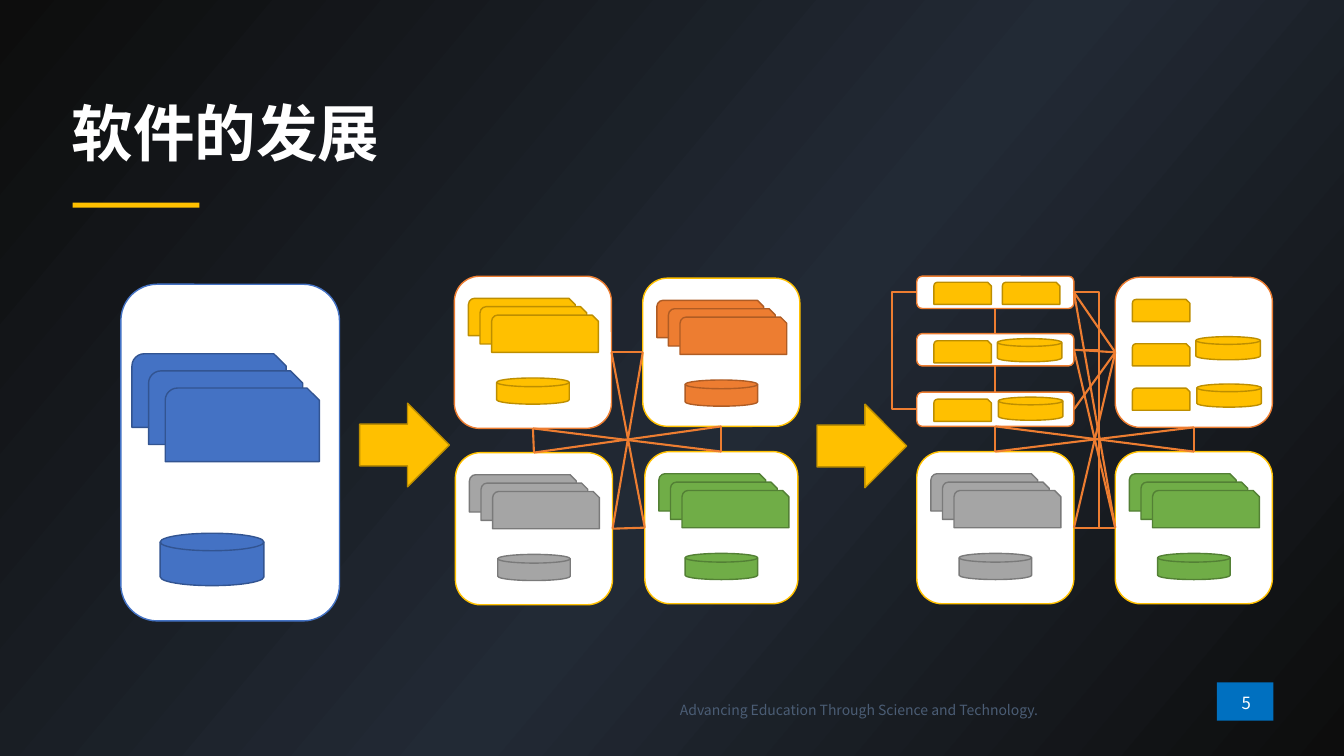
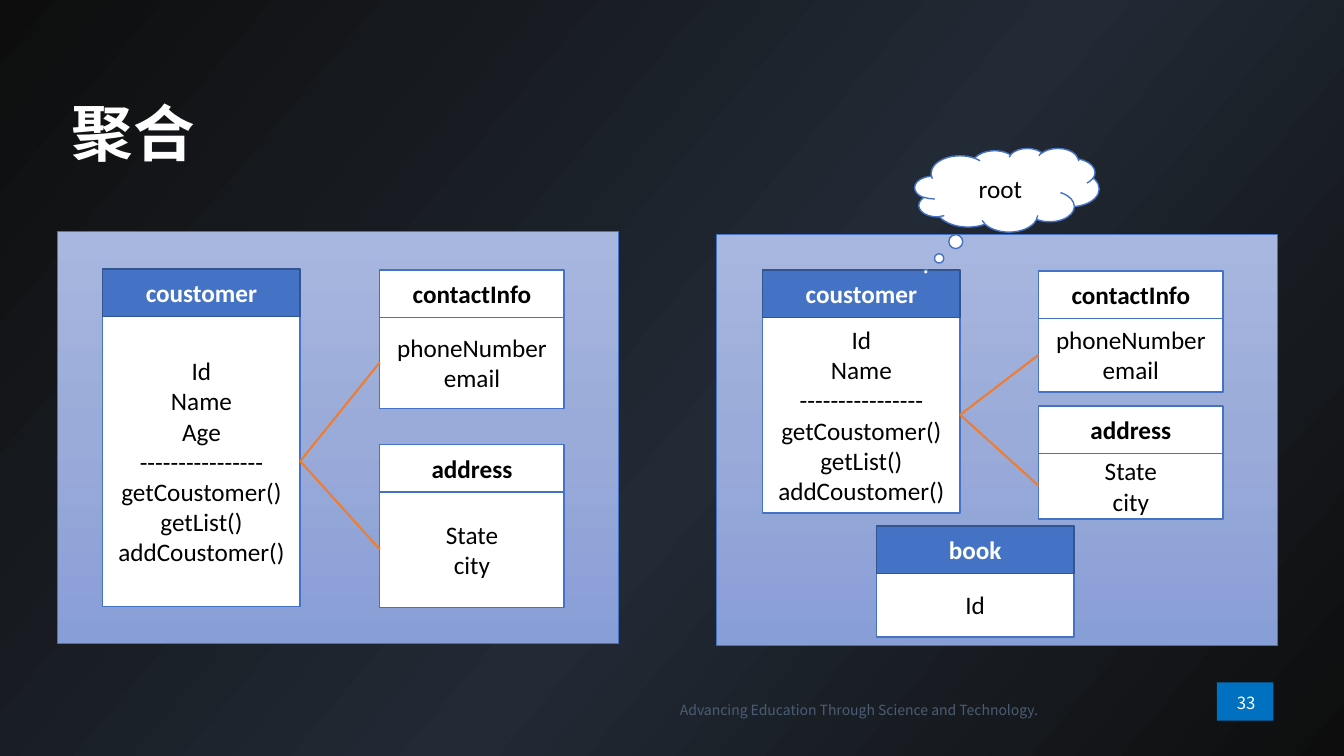
from copy import deepcopy

from lxml.etree import SubElement
from pptx import Presentation
from pptx.dml.color import RGBColor
from pptx.enum.shapes import MSO_CONNECTOR, MSO_SHAPE
from pptx.enum.text import MSO_ANCHOR, PP_ALIGN
from pptx.oxml.ns import qn
from pptx.util import Inches, Pt

C = {
    "white": "FFFFFF", "black": "000000", "badge": "0070C0", "footer": "4B5D75",
    "blue": "4472C4", "blue_edge": "325491", "gold": "FFC000", "gold_edge": "BD8E00",
    "orange": "ED7D31", "orange_edge": "AF5C24", "gray": "A5A5A5", "gray_edge": "7A7A7A",
    "green": "70AD47", "green_edge": "538035",
    "night": "0D0D0D", "slate": "222A35",
    "haze": "A8B7DF", "haze_mid": "9AABD9", "haze_deep": "889ED7",
}
NIGHT = [(0, "night"), (0.55, "slate"), (1, "night")]
HAZE = [(0, "haze"), (0.5, "haze_mid"), (1, "haze_deep")]
CJK, LATIN = "Noto Sans CJK SC", "Calibri"
FOOTER = "Advancing Education Through Science and Technology."
TOP, LEFT, BOTTOM, RIGHT = range(4)

# Services: name -> (box, border, colour)
MONOLITH = (1.2, 2.82, 2.17, 3.34)
SERVICES = {
    "tl": ((4.51, 2.74, 1.56, 1.51), "orange", "gold"),
    "tr": ((6.38, 2.76, 1.56, 1.47), "gold", "orange"),
    "bl": ((4.52, 4.49, 1.56, 1.51), "gold", "gray"),
    "br": ((6.4, 4.48, 1.52, 1.51), "gold", "green"),
}
MICRO_SERVICES = {
    "bl": ((9.1, 4.48, 1.56, 1.51), "gold", "gray"),
    "br": ((11.07, 4.48, 1.56, 1.51), "gold", "green"),
}
# Panels of small parts: name -> (box, parts at offsets)
MICRO_PANELS = {
    "s1": ((9.1, 2.74, 1.56, 0.32), [("card", 0.17, 0.06), ("card", 0.85, 0.06)]),
    "s2": ((9.1, 3.31, 1.56, 0.32), [("card", 0.17, 0.07), ("disk", 0.8, 0.05)]),
    "tl": ((9.1, 3.89, 1.56, 0.34), [("card", 0.17, 0.07), ("disk", 0.81, 0.05)]),
    "tr": ((11.07, 2.75, 1.56, 1.49),
           [("card", 0.17, 0.22), ("card", 0.17, 0.66), ("card", 0.17, 1.1),
            ("disk", 0.8, 0.59), ("disk", 0.81, 1.06)]),
}
PARTS = {"card": (MSO_SHAPE.SNIP_ROUND_RECTANGLE, 0.57, 0.22),
         "disk": (MSO_SHAPE.FLOWCHART_MAGNETIC_DISK, 0.64, 0.23)}
ARROWS = [(3.57, 4, 0.89, 0.83), (8.11, 4.01, 0.89, 0.83)]

MESH = [
    ("tl", RIGHT, "tr", LEFT), ("tr", LEFT, "bl", RIGHT), ("bl", RIGHT, "br", LEFT),
    ("tl", BOTTOM, "bl", TOP), ("tl", BOTTOM, "br", TOP),
    ("tr", BOTTOM, "bl", TOP), ("tr", BOTTOM, "br", TOP),
]
SERVICE_LINKS = MESH + [("tl", RIGHT, "br", LEFT)]
MICRO_LINKS = MESH + [
    ("s1", RIGHT, "tr", LEFT), ("s2", RIGHT, "tr", LEFT),
    ("s1", RIGHT, "br", LEFT), ("s2", RIGHT, "br", LEFT),
    ("s1", BOTTOM, "s2", TOP), ("s2", BOTTOM, "tl", TOP),
]
MICRO_ELBOWS = [("s1", "tl", LEFT), ("s1", "bl", RIGHT), ("s2", "bl", RIGHT)]

# Aggregates: frame and class boxes (name, left, top, width, body height, lines)
RULE = "-" * 16
METHODS = [RULE, "getCoustomer()", "getList()", "addCoustomer()"]
CONTACT, ADDRESS = ["phoneNumber", "email"], ["State", "city"]
AGGREGATES = [
    ((0.57, 2.3, 5.57, 4.08), [
        ("coustomer", 1.02, 2.67, 1.96, 2.89, ["Id", "Name", "Age"] + METHODS),
        ("contactInfo", 3.77, 2.68, 1.83, 0.91, CONTACT),
        ("address", 3.77, 4.41, 1.83, 1.16, ADDRESS),
    ]),
    ((7.11, 2.32, 5.57, 4.08), [
        ("coustomer", 7.57, 2.68, 1.96, 1.95, ["Id", "Name"] + METHODS),
        ("contactInfo", 10.31, 2.69, 1.83, 0.74, CONTACT),
        ("address", 10.31, 4.03, 1.83, 0.66, ADDRESS),
        ("book", 8.7, 5.22, 1.96, 0.64, ["Id"]),
    ]),
]
ROOTS = {"coustomer", "book"}
HEADER_H, HEADER_STEP = 0.47, 0.46


def rgb(name):
    return RGBColor.from_string(C[name])


def gradient(fill, stops, angle):
    """Three-stop linear gradient; the angle runs clockwise."""
    fill.gradient()
    gs_lst = fill.gradient_stops._gsLst
    gs_lst.append(deepcopy(gs_lst[0]))
    for stop, (position, color) in zip(fill.gradient_stops, stops):
        stop.position = position
        stop.color.rgb = rgb(color)
    fill.gradient_angle = 360 - angle


def write(sp, lines, size, color, font=LATIN, bold=False, align=PP_ALIGN.CENTER):
    tf = sp.text_frame
    tf.word_wrap = True
    tf.text = "\n".join(lines)
    for p in tf.paragraphs:
        p.alignment = align
        p.font.size, p.font.bold, p.font.name = Pt(size), bold, font
        p.font.color.rgb = rgb(color)
        SubElement(p.font._rPr, qn("a:ea"), typeface=font)
    return tf


def draw(slide, preset, box, fill, line=None, width=1):
    sp = slide.shapes.add_shape(preset, *map(Inches, box))
    sp.shadow.inherit = False
    if isinstance(fill, list):
        gradient(sp.fill, fill, 90)
    else:
        sp.fill.solid()
        sp.fill.fore_color.rgb = rgb(fill)
    if line:
        sp.line.color.rgb = rgb(line)
        sp.line.width = Pt(width)
    else:
        sp.line.fill.background()
    return sp


def text_box(slide, box, text, size, color, align=PP_ALIGN.CENTER):
    sp = slide.shapes.add_textbox(*map(Inches, box))
    write(sp, [text], size, color, CJK, align=align)
    return sp


def style_line(cn):
    cn.line.color.rgb = rgb("orange")
    cn.line.width = Pt(1.5)
    SubElement(cn._element.spPr, qn("a:effectLst"))


def link(slide, a, a_site, b, b_site):
    cn = slide.shapes.add_connector(MSO_CONNECTOR.STRAIGHT, 0, 0, 0, 0)
    cn.begin_connect(a, a_site)
    cn.end_connect(b, b_site)
    style_line(cn)


def elbow(slide, a, b, side):
    """Bracket 0.25 inch out from the same side of two shapes."""
    x = a.left + (a.width if side == RIGHT else 0)
    end = x + Inches(0.01 if side == RIGHT else -0.01)
    cn = slide.shapes.add_connector(MSO_CONNECTOR.ELBOW, x, a.top + a.height // 2,
                                    end, b.top + b.height // 2)
    av_lst = cn._element.spPr.find(qn("a:prstGeom")).get_or_add_avLst()
    SubElement(av_lst, qn("a:gd"), name="adj1", fmla="val 2500000")
    style_line(cn)


def set_up_layout(prs):
    gradient(prs.slide_master.background.fill, NIGHT, 40)
    layout = prs.slide_layouts[5]
    for ph in list(layout.placeholders):
        if ph.placeholder_format.idx:
            ph._element.getparent().remove(ph._element)
    title = layout.placeholders[0]
    title.left, title.top, title.width, title.height = map(Inches, (0.61, 0.92, 11.97, 0.86))
    return layout


def add_shared_parts(slide):
    """Put the number badge and the footer on the slide's layout."""
    badge = draw(slide, MSO_SHAPE.RECTANGLE, (12.08, 6.77, 0.56, 0.38), "badge")
    footer = text_box(slide, (4.61, 6.91, 5.79, 0.27), FOOTER, 10, "footer", PP_ALIGN.RIGHT)
    for sp in (badge, footer):
        slide.slide_layout.shapes._spTree.append(sp._element)


def add_slide(prs, layout, title, number):
    slide = prs.slides.add_slide(layout)
    tf = write(slide.shapes.title, [title], 44, "white", CJK, True, PP_ALIGN.LEFT)
    tf.vertical_anchor = MSO_ANCHOR.MIDDLE
    tf.paragraphs[0].line_spacing = 0.9
    sp = text_box(slide, (12.06, 6.76, 0.62, 0.43), str(number), 12, "white")
    sp.text_frame.vertical_anchor = MSO_ANCHOR.MIDDLE
    return slide


def card_stack(slide, x, y, w, h, dx, dy, color):
    for i in range(3):
        draw(slide, MSO_SHAPE.SNIP_ROUND_RECTANGLE, (x + i * dx, y + i * dy, w, h),
             color, color + "_edge")


def disk(slide, box, color):
    draw(slide, MSO_SHAPE.FLOWCHART_MAGNETIC_DISK, box, color, color + "_edge")


def service(slide, box, border, color):
    x, y, w, h = box
    panel = draw(slide, MSO_SHAPE.ROUNDED_RECTANGLE, box, "white", border)
    disk(slide, (x + (w - 0.72) / 2, y + 1.01, 0.72, 0.26), color)
    card_stack(slide, x + 0.14, y + 0.22, 1.06, 0.37, 0.115, 0.083, color)
    return panel


def parts_panel(slide, box, parts):
    panel = draw(slide, MSO_SHAPE.ROUNDED_RECTANGLE, box, "white", "orange")
    for kind, dx, dy in parts:
        preset, w, h = PARTS[kind]
        draw(slide, preset, (box[0] + dx, box[1] + dy, w, h), "gold", "gold_edge")
    return panel


def class_box(slide, name, x, y, w, body_h, lines):
    body = draw(slide, MSO_SHAPE.RECTANGLE, (x, y + HEADER_STEP, w, body_h), "white", "blue")
    write(body, lines, 18, "black")
    fill, line, color = (("blue", "blue_edge", "white") if name in ROOTS
                         else ("white", "blue", "black"))
    header = draw(slide, MSO_SHAPE.RECTANGLE, (x, y, w, HEADER_H), fill, line)
    write(header, [name], 18, color, bold=True)
    return body


def build_evolution(slide):
    draw(slide, MSO_SHAPE.RECTANGLE, (0.72, 2.01, 1.26, 0.05), "gold")
    draw(slide, MSO_SHAPE.ROUNDED_RECTANGLE, MONOLITH, "white", "blue")
    disk(slide, (1.59, 5.29, 1.03, 0.52), "blue")
    card_stack(slide, 1.31, 3.51, 1.53, 0.73, 0.165, 0.17, "blue")
    for box in ARROWS:
        draw(slide, MSO_SHAPE.RIGHT_ARROW, box, "gold", "gold_edge")
    services = {k: service(slide, *v) for k, v in SERVICES.items()}
    micro = {k: service(slide, *v) for k, v in MICRO_SERVICES.items()}
    micro.update({k: parts_panel(slide, *v) for k, v in MICRO_PANELS.items()})
    for nodes, links in ((services, SERVICE_LINKS), (micro, MICRO_LINKS)):
        for a, a_site, b, b_site in links:
            link(slide, nodes[a], a_site, nodes[b], b_site)
    for a, b, side in MICRO_ELBOWS:
        elbow(slide, micro[a], micro[b], side)


def build_aggregates(slide):
    for frame, classes in AGGREGATES:
        draw(slide, MSO_SHAPE.RECTANGLE, frame, HAZE, "blue", 0.5)
        bodies = {c[0]: class_box(slide, *c) for c in classes}
        for part in ("contactInfo", "address"):
            link(slide, bodies["coustomer"], RIGHT, bodies[part], LEFT)
    cloud = draw(slide, MSO_SHAPE.CLOUD_CALLOUT, (9.08, 1.47, 1.83, 0.83), "white", "blue")
    cloud.adjustments[0], cloud.adjustments[1] = -0.44, 0.98
    write(cloud, ["root"], 18, "black")


def main():
    prs = Presentation()
    prs.slide_width, prs.slide_height = Inches(13.34), Inches(7.5)
    layout = set_up_layout(prs)
    evolution = add_slide(prs, layout, "软件的发展", 5)
    add_shared_parts(evolution)
    build_evolution(evolution)
    build_aggregates(add_slide(prs, layout, "聚合", 33))
    prs.save("out.pptx")


if __name__ == "__main__":
    main()
